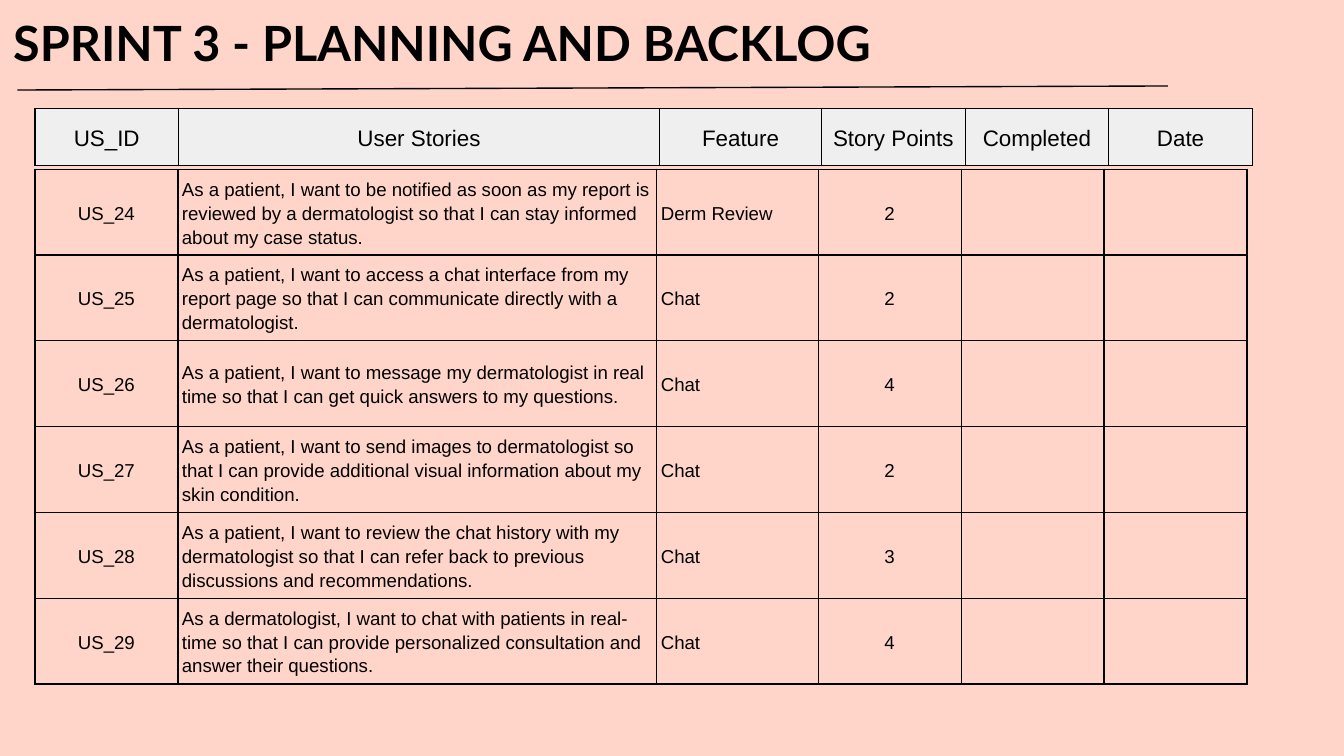
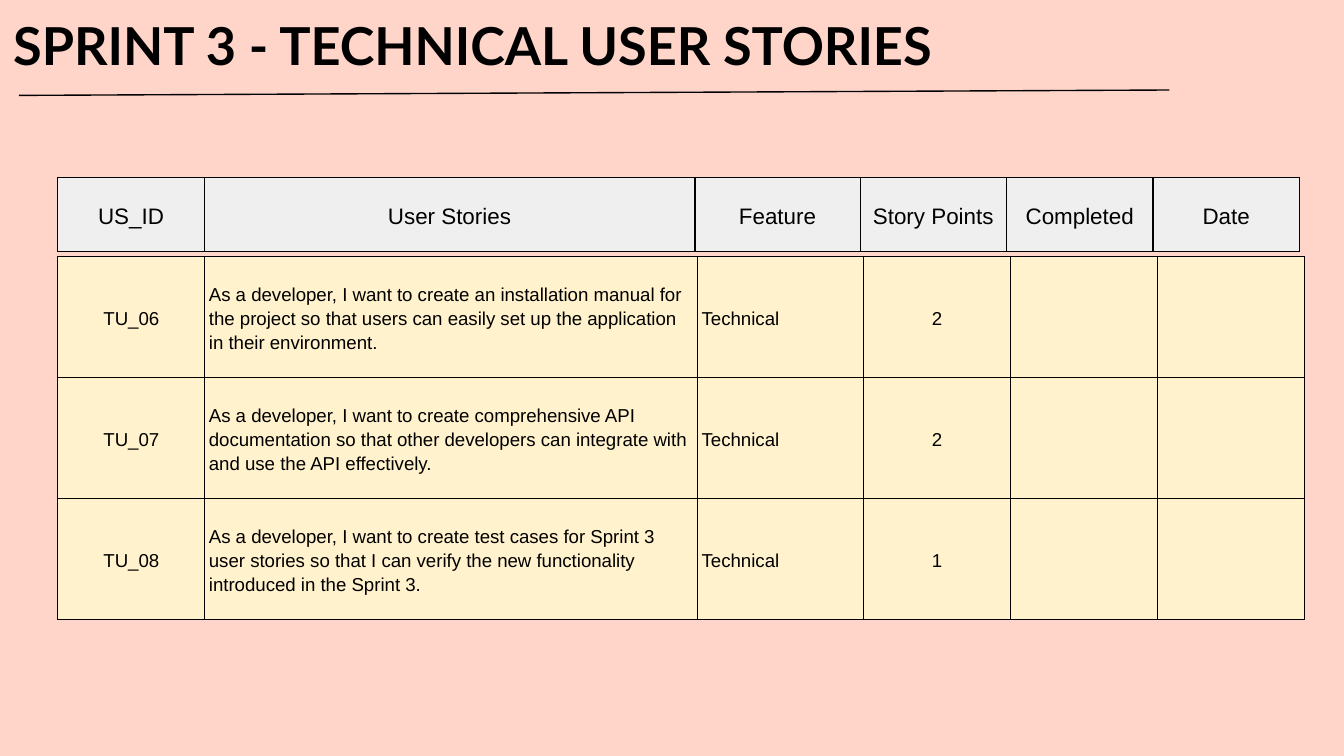
"""Build the Sprint 3 planning and technical story slides."""
from dataclasses import dataclass
from typing import Optional

from lxml import etree
from pptx import Presentation
from pptx.dml.color import RGBColor
from pptx.enum.shapes import MSO_CONNECTOR
from pptx.enum.text import MSO_ANCHOR, MSO_AUTO_SIZE, PP_ALIGN
from pptx.oxml.ns import qn
from pptx.util import Pt

PX = 9144
SLIDE_WIDTH = 1000 * PX
SLIDE_HEIGHT = SLIDE_WIDTH * 9 // 16

STRAIGHT = MSO_CONNECTOR.STRAIGHT
MIDDLE = MSO_ANCHOR.MIDDLE
GROW = MSO_AUTO_SIZE.SHAPE_TO_FIT_TEXT
CENTER = PP_ALIGN.CENTER
LEFT = PP_ALIGN.LEFT

PINK = RGBColor(0xFF, 0xD5, 0xCA)
GRAY = RGBColor(0xEF, 0xEF, 0xEF)
CREAM = RGBColor(0xFF, 0xF2, 0xCC)
BLACK = RGBColor(0x00, 0x00, 0x00)

TITLE_FONT = "Lato"
TABLE_FONT = "Arial"
LINE_WIDTH = Pt(0.75)
LINE_SPACING = 1.15

HEADERS = ("US_ID", "User Stories", "Feature", "Story Points", "Completed", "Date")
COLUMN_SHARES = (266, 891, 300, 266, 266, 266)
HEADER_ALIGNMENTS = (CENTER,) * len(HEADERS)
STORY_ALIGNMENTS = (CENTER, LEFT, LEFT, CENTER, CENTER, CENTER)


@dataclass(frozen=True)
class Box:
    """A rectangle in px."""
    left: int
    top: int
    width: int
    height: int

    def emu(self) -> tuple[int, int, int, int]:
        """Return the rectangle in EMU."""
        return self.left * PX, self.top * PX, self.width * PX, self.height * PX


@dataclass(frozen=True)
class Rule:
    """The line under a title, in px."""
    start_x: int
    start_y: int
    end_x: int
    end_y: int


@dataclass(frozen=True)
class Story:
    """One backlog entry."""
    story_id: str
    text: str
    feature: str
    points: int

    def row(self) -> tuple[str, ...]:
        """Return the table row, with completion and date still open."""
        return self.story_id, self.text, self.feature, str(self.points), "", ""


@dataclass(frozen=True)
class TableStyle:
    """The look shared by all cells of a table."""
    font_size: int
    alignments: tuple[PP_ALIGN, ...]
    fill: Optional[RGBColor]


@dataclass(frozen=True)
class BacklogSlide:
    """The content and layout of one slide."""
    title: str
    title_size: int
    title_box: Box
    rule: Rule
    header_box: Box
    stories_box: Box
    stories_fill: Optional[RGBColor]
    stories: tuple[Story, ...]


HEADER_STYLE = TableStyle(12, HEADER_ALIGNMENTS, GRAY)

SLIDES = (
    BacklogSlide(
        title="SPRINT 3 - PLANNING AND BACKLOG",
        title_size=26,
        title_box=Box(0, 0, 725, 111),
        rule=Rule(13, 67, 869, 64),
        header_box=Box(26, 81, 906, 42),
        stories_box=Box(26, 126, 902, 383),
        stories_fill=None,
        stories=(
            Story("US_24", "As a patient, I want to be notified as soon as my report is reviewed "
                  "by a dermatologist so that I can stay informed about my case status.",
                  "Derm Review", 2),
            Story("US_25", "As a patient, I want to access a chat interface from my report page "
                  "so that I can communicate directly with a dermatologist.", "Chat", 2),
            Story("US_26", "As a patient, I want to message my dermatologist in real time "
                  "so that I can get quick answers to my questions.", "Chat", 4),
            Story("US_27", "As a patient, I want to send images to dermatologist so that I can "
                  "provide additional visual information about my skin condition.", "Chat", 2),
            Story("US_28", "As a patient, I want to review the chat history with my dermatologist "
                  "so that I can refer back to previous discussions and recommendations.",
                  "Chat", 3),
            Story("US_29", "As a dermatologist, I want to chat with patients in real-time so that "
                  "I can provide personalized consultation and answer their questions.",
                  "Chat", 4),
        ),
    ),
    BacklogSlide(
        title="SPRINT 3 - TECHNICAL USER STORIES",
        title_size=28,
        title_box=Box(0, 0, 912, 67),
        rule=Rule(14, 71, 870, 67),
        header_box=Box(43, 132, 924, 55),
        stories_box=Box(43, 191, 928, 270),
        stories_fill=CREAM,
        stories=(
            Story("TU_06", "As a developer, I want to create an installation manual for the "
                  "project so that users can easily set up the application in their environment.",
                  "Technical", 2),
            Story("TU_07", "As a developer, I want to create comprehensive API documentation so "
                  "that other developers can integrate with and use the API effectively.",
                  "Technical", 2),
            Story("TU_08", "As a developer, I want to create test cases for Sprint 3 user stories "
                  "so that I can verify the new functionality introduced in the Sprint 3.",
                  "Technical", 1),
        ),
    ),
)


def style_font(paragraph, name: str, size: int, bold: bool = False) -> None:
    """Set the font of a whole paragraph."""
    font = paragraph.font
    font.name = name
    font.size = Pt(size)
    font.bold = bold
    font.color.rgb = BLACK


def add_title(slide, content: BacklogSlide) -> None:
    """Add the title text."""
    text_frame = slide.shapes.add_textbox(*content.title_box.emu()).text_frame
    text_frame.word_wrap = True
    text_frame.auto_size = GROW
    text_frame.margin_left = text_frame.margin_right = 10 * PX
    text_frame.margin_top = text_frame.margin_bottom = 10 * PX
    paragraph = text_frame.paragraphs[0]
    paragraph.text = content.title
    style_font(paragraph, TITLE_FONT, content.title_size, bold=True)


def add_rule(slide, rule: Rule) -> None:
    """Add the thin line under the title."""
    connector = slide.shapes.add_connector(
        STRAIGHT, rule.start_x * PX, rule.start_y * PX, rule.end_x * PX, rule.end_y * PX)
    connector.line.color.rgb = BLACK
    connector.line.width = LINE_WIDTH
    etree.SubElement(connector._element.spPr, qn("a:effectLst"))


def add_borders(cell) -> None:
    """Draw a black border on all sides of a cell."""
    properties = cell._tc.get_or_add_tcPr()
    for side in ("a:lnL", "a:lnR", "a:lnT", "a:lnB"):
        border = etree.SubElement(properties, qn(side), w=str(LINE_WIDTH))
        fill = etree.SubElement(border, qn("a:solidFill"))
        etree.SubElement(fill, qn("a:srgbClr"), val=str(BLACK))


def fill_cell(cell, text: str, alignment: PP_ALIGN, style: TableStyle) -> None:
    """Write and format one table cell."""
    add_borders(cell)
    if style.fill is None:
        cell.fill.background()
    else:
        cell.fill.solid()
        cell.fill.fore_color.rgb = style.fill
    cell.margin_left = cell.margin_right = 3 * PX
    cell.margin_top = cell.margin_bottom = 2 * PX
    cell.vertical_anchor = MIDDLE
    paragraph = cell.text_frame.paragraphs[0]
    paragraph.text = text
    paragraph.alignment = alignment
    paragraph.line_spacing = LINE_SPACING
    style_font(paragraph, TABLE_FONT, style.font_size)


def add_backlog_table(slide, box: Box, rows: list[tuple[str, ...]], style: TableStyle) -> None:
    """Add a table with proportional columns and equal rows."""
    left, top, width, height = box.emu()
    table = slide.shapes.add_table(
        len(rows), len(COLUMN_SHARES), left, top, width, height).table
    table.first_row = False
    table.horz_banding = False
    for column, share in zip(table.columns, COLUMN_SHARES):
        column.width = width * share // sum(COLUMN_SHARES)
    for row_index, row in enumerate(rows):
        table.rows[row_index].height = height // len(rows)
        for column_index, (text, alignment) in enumerate(zip(row, style.alignments)):
            fill_cell(table.cell(row_index, column_index), text, alignment, style)


def add_backlog_slide(presentation, content: BacklogSlide) -> None:
    """Add one slide with its title, rule, stories and header row."""
    slide = presentation.slides.add_slide(presentation.slide_layouts[6])
    slide.background.fill.solid()
    slide.background.fill.fore_color.rgb = PINK
    add_title(slide, content)
    add_rule(slide, content.rule)
    stories_style = TableStyle(10, STORY_ALIGNMENTS, content.stories_fill)
    add_backlog_table(slide, content.stories_box,
                      [story.row() for story in content.stories], stories_style)
    add_backlog_table(slide, content.header_box, [HEADERS], HEADER_STYLE)


def main() -> None:
    """Build and save the presentation."""
    presentation = Presentation()
    presentation.slide_width = SLIDE_WIDTH
    presentation.slide_height = SLIDE_HEIGHT
    for content in SLIDES:
        add_backlog_slide(presentation, content)
    presentation.save("out.pptx")


if __name__ == "__main__":
    main()
